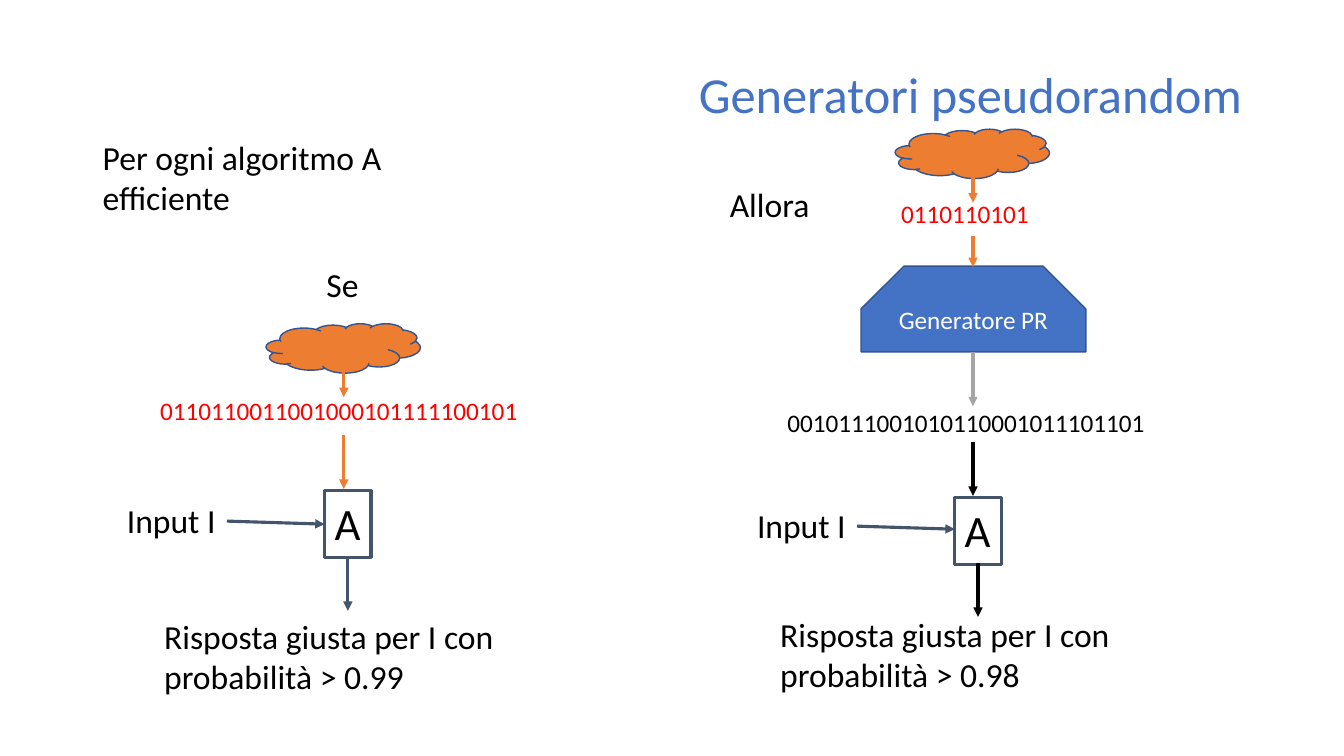
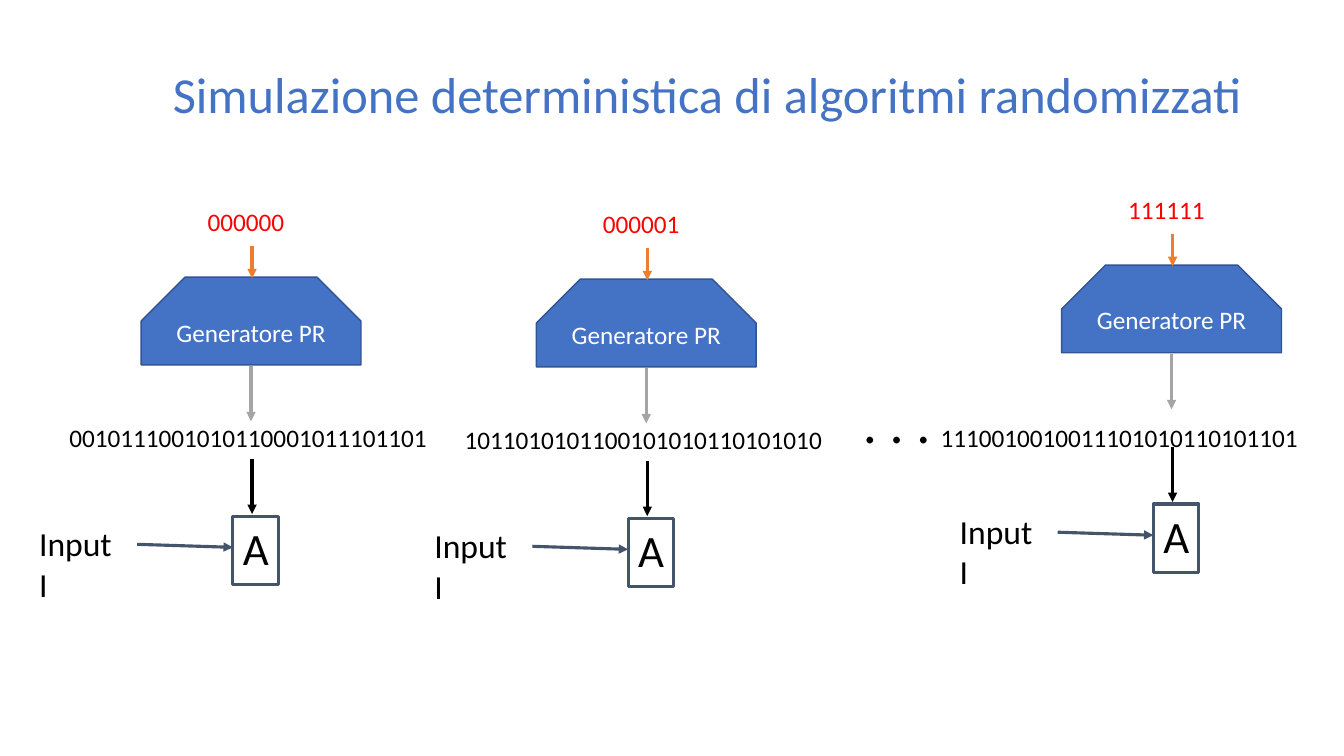
from pptx import Presentation, util as u
from pptx.dml.color import RGBColor
from pptx.enum import shapes, text
from pptx.oxml import parse_xml
from pptx.oxml.ns import nsdecls, qn

BLUE = RGBColor(0x44, 0x72, 0xC4)
EDGE = RGBColor(0x32, 0x54, 0x91)
ORANGE = RGBColor(0xED, 0x7D, 0x31)
GRAY = RGBColor(0xA5, 0xA5, 0xA5)
SLATE = RGBColor(0x44, 0x54, 0x6A)
RED = RGBColor(0xFF, 0, 0)
BLACK = RGBColor(0, 0, 0)
WHITE = RGBColor(0xFF, 0xFF, 0xFF)
FONT = "Calibri"
KIND = shapes.MSO_SHAPE
ALIGN = text.PP_ALIGN
ANCHOR = text.MSO_ANCHOR


class Deck:
    def __init__(self):
        self.prs = Presentation()
        self.prs.slide_width = u.Inches(13.33)
        self.prs.slide_height = u.Inches(7.5)

    def box(self, *sides):
        return [u.Inches(side) for side in sides]

    def add_words(self, frame, words, size, color, align=ALIGN.LEFT):
        para = frame.paragraphs[0]
        para.alignment = align
        run = para.add_run()
        run.text = words
        run.font.name = FONT
        run.font.size = u.Pt(size)
        run.font.color.rgb = color
        return para

    def start(self, words):
        self.slide = self.prs.slides.add_slide(self.prs.slide_layouts[5])
        title = self.slide.shapes.title
        title.left, title.top, title.width, title.height = self.box(0.92, 0.4, 11.5, 1.12)
        title.text_frame.vertical_anchor = ANCHOR.MIDDLE
        para = self.add_words(title.text_frame, words, 36, BLUE, ALIGN.RIGHT)
        para.line_spacing = 0.9

    def label(self, words, x, y, w, h, size=24, color=BLACK, wrap=True):
        frame = self.slide.shapes.add_textbox(*self.box(x, y, w, h)).text_frame
        frame.word_wrap = wrap
        frame.auto_size = text.MSO_AUTO_SIZE.SHAPE_TO_FIT_TEXT
        self.add_words(frame, words, size, color)

    def shape(self, kind, x, y, w, h, fill=None, line=EDGE, width=1):
        item = self.slide.shapes.add_shape(kind, *self.box(x, y, w, h))
        item.shadow.inherit = False
        if fill is None:
            item.fill.background()
        else:
            item.fill.solid()
            item.fill.fore_color.rgb = fill
        item.line.color.rgb = line
        item.line.width = u.Pt(width)
        return item

    def cloud(self, x, y):
        self.shape(KIND.CLOUD, x, y, 1.53, 0.49, ORANGE)
        self.down(x + 0.77, y + 0.2, 0.53, ORANGE)

    def maker(self, x, y, w, h):
        item = self.shape(KIND.SNIP_2_SAME_RECTANGLE, x, y, w, h, BLUE)
        item.adjustments[0] = 0.5
        item.adjustments[1] = 0
        item.text_frame.vertical_anchor = ANCHOR.MIDDLE
        self.add_words(item.text_frame, "Generatore PR", 18, WHITE, ALIGN.CENTER)

    def solver(self, x, y, w=0.46, h=0.66):
        item = self.shape(KIND.RECTANGLE, x, y, w, h, None, SLATE, 2.25)
        item.text_frame.vertical_anchor = ANCHOR.TOP
        self.add_words(item.text_frame, "A", 32, BLACK)

    def arrow(self, x1, y1, x2, y2, color):
        item = self.slide.shapes.add_connector(
            shapes.MSO_CONNECTOR.STRAIGHT, *self.box(x1, y1, x2, y2))
        item.line.color.rgb = color
        item.line.width = u.Pt(2.25)
        props = item._element.spPr
        props.find(qn("a:ln")).append(
            parse_xml(f'<a:tailEnd {nsdecls("a")} type="triangle"/>'))
        props.append(parse_xml(f'<a:effectLst {nsdecls("a")}/>'))

    def down(self, x, y, size, color):
        self.arrow(x, y, x, y + size, color)

    def entry(self, x, y, w=1.09, h=0.5, reach=0.97, wrap=False):
        self.label("Input I", x, y, w, h, wrap=wrap)
        self.arrow(x + w, y + 0.26, x + w + reach, y + 0.29, SLATE)

    def chain(self, x, y, seed, bits, left, top):
        self.maker(x, y, 2.18, 0.87)
        self.label(seed, x + 0.56, y - 0.75, 1.61, 0.42, 18, RED)
        self.down(x + 1.09, y + 0.88, 0.55, GRAY)
        self.down(x + 1.1, y - 0.31, 0.32, ORANGE)
        self.label(bits, left, top, 3.82, 0.42, 18)
        self.solver(x + 0.91, y + 2.37, 0.45, 0.68)
        self.down(x + 1.1, y + 1.8, 0.55, BLACK)
        self.entry(x - 1.11, y + 2.39, 1.07, 0.52, 0.95, True)


deck = Deck()

deck.start("Generatori pseudorandom")
deck.label("Per ogni algoritmo A efficiente", 0.92, 1.31, 4.11, 0.91)
deck.label("Se", 3.14, 2.57, 0.54, 0.5)
deck.cloud(2.64, 3.21)
deck.label("0110110011001000101111100101", 1.49, 3.87, 3.84, 0.4, 18, RED)
deck.down(3.41, 4.32, 0.53, ORANGE)
deck.solver(3.22, 4.87)
deck.entry(1.16, 4.91)
deck.down(3.45, 5.53, 0.53, SLATE)
deck.label("Risposta giusta per I con probabilità > 0.99", 1.53, 6.06, 4.11, 0.91)

deck.label("Allora", 7.14, 1.78, 1.03, 0.5)
deck.cloud(8.88, 1.28)
deck.maker(8.54, 2.64, 2.23, 0.85)
deck.label("0110110101", 8.84, 1.92, 1.64, 0.4, 18, RED)
deck.down(9.65, 2.34, 0.31, ORANGE)
deck.down(9.65, 3.49, 0.54, GRAY)
deck.label("0010111001010110001011101101", 7.71, 3.99, 3.89, 0.4, 18)
deck.down(9.65, 4.39, 0.53, BLACK)
deck.solver(9.47, 4.94)
deck.entry(7.41, 4.96)
deck.down(9.7, 5.59, 0.53, BLACK)
deck.label("Risposta giusta per I con probabilità > 0.98", 7.64, 6.04, 4.11, 0.91)

deck.start("Simulazione deterministica di algoritmi randomizzati")
for chain in (
    (1.4, 2.75, "000000", "0010111001010110001011101101", 0.59, 4.14),
    (5.32, 2.77, "000001", "1011010101100101010110101010", 4.51, 4.16),
    (10.53, 2.63, "111111", "1110010010011101010110101101", 9.23, 4.14),
):
    deck.chain(*chain)
deck.label(". . .", 8.46, 3.8, 1.15, 0.8, 40)

deck.prs.save("out.pptx")
